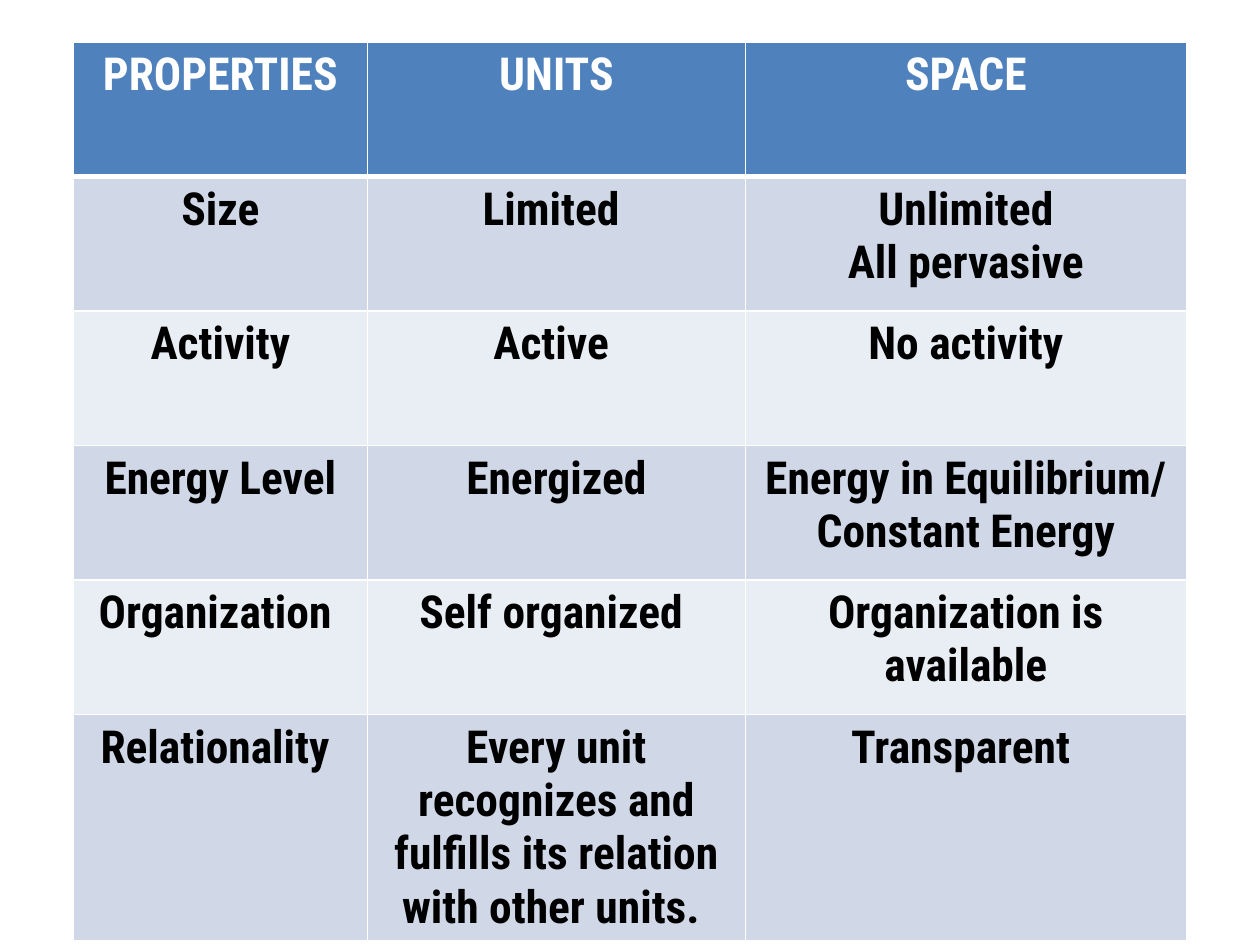
"""Build a table slide comparing the properties of units and space."""
from dataclasses import dataclass

import pptx
import pptx.dml.color
import pptx.enum.text
import pptx.oxml
import pptx.oxml.ns
import pptx.util

Pt = pptx.util.Pt
WHITE = "FFFFFF"
COLUMN_WIDTHS = (168, 216, 252)
ROW_HEIGHT = 76.9
THIN, THICK = 1, 3


@dataclass(frozen=True)
class Row:
    texts: tuple[str, str, str]
    fill: str
    color: str = "000000"
    top: float = THIN
    bottom: float = THIN


DARK_BAND, LIGHT_BAND = "D0D8E8", "E9EDF4"
ROWS = (
    Row(("PROPERTIES", "UNITS", "SPACE"), "4F81BD", WHITE, bottom=THICK),
    Row(("Size", "Limited ", "Unlimited\nAll pervasive"), DARK_BAND, top=THICK),
    Row(("Activity", "Active ", "No activity"), LIGHT_BAND),
    Row(("Energy Level", "Energized", "Energy in Equilibrium/ Constant Energy"), DARK_BAND),
    Row(("Organization ", "Self organized ", "Organization is available"), LIGHT_BAND),
    Row(
        (
            "Relationality ",
            "Every unit recognizes and fulfills its relation with other units. ",
            "Transparent ",
        ),
        DARK_BAND,
    ),
)


def rgb(value: str) -> pptx.dml.color.RGBColor:
    return pptx.dml.color.RGBColor.from_string(value)


def add_border(cell, side: str, width: float) -> None:
    namespace = pptx.oxml.ns.nsdecls("a")
    cell._tc.get_or_add_tcPr().append(
        pptx.oxml.parse_xml(
            f'<a:ln{side} {namespace} w="{Pt(width)}"><a:solidFill>'
            f'<a:srgbClr val="{WHITE}"/></a:solidFill></a:ln{side}>'
        )
    )


def fill_cell(cell, text: str, row: Row) -> None:
    borders = {"L": THIN, "R": THIN, "T": row.top, "B": row.bottom}
    for side, width in borders.items():
        add_border(cell, side, width)
    cell.fill.solid()
    cell.fill.fore_color.rgb = rgb(row.fill)
    cell.text_frame.text = text
    font_format = {"name": "Roboto Condensed", "size": Pt(26), "bold": True}
    for para in cell.text_frame.paragraphs:
        para.alignment = pptx.enum.text.PP_ALIGN.CENTER
        for span in para.runs:
            for name, value in font_format.items():
                setattr(span.font, name, value)
            span.font.color.rgb = rgb(row.color)


def add_property_table(page, left: float, top: float) -> None:
    frame = page.shapes.add_table(
        len(ROWS), len(COLUMN_WIDTHS), Pt(left), Pt(top),
        Pt(sum(COLUMN_WIDTHS)), Pt(ROW_HEIGHT * len(ROWS)),
    )
    table = frame.table
    for column, width in zip(table.columns, COLUMN_WIDTHS):
        column.width = Pt(width)
    for table_row, row in zip(table.rows, ROWS):
        table_row.height = Pt(ROW_HEIGHT)
        for cell, text in zip(table_row.cells, row.texts):
            fill_cell(cell, text, row)


def main() -> None:
    deck = pptx.Presentation()
    deck.slide_width, deck.slide_height = Pt(720), Pt(540)
    page = deck.slides.add_slide(deck.slide_layouts[6])
    add_property_table(page, left=42, top=24)
    deck.save("out.pptx")


if __name__ == "__main__":
    main()
